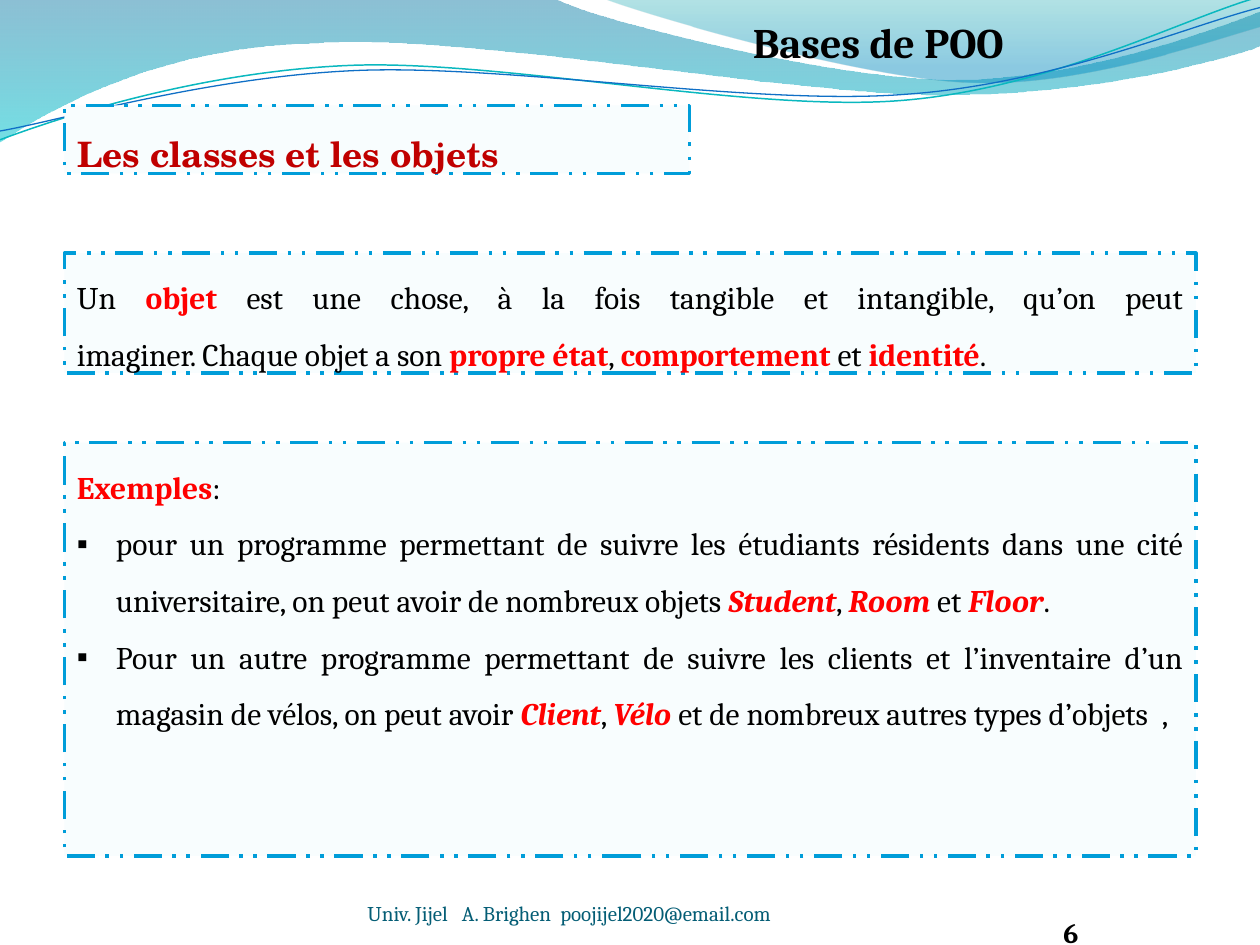
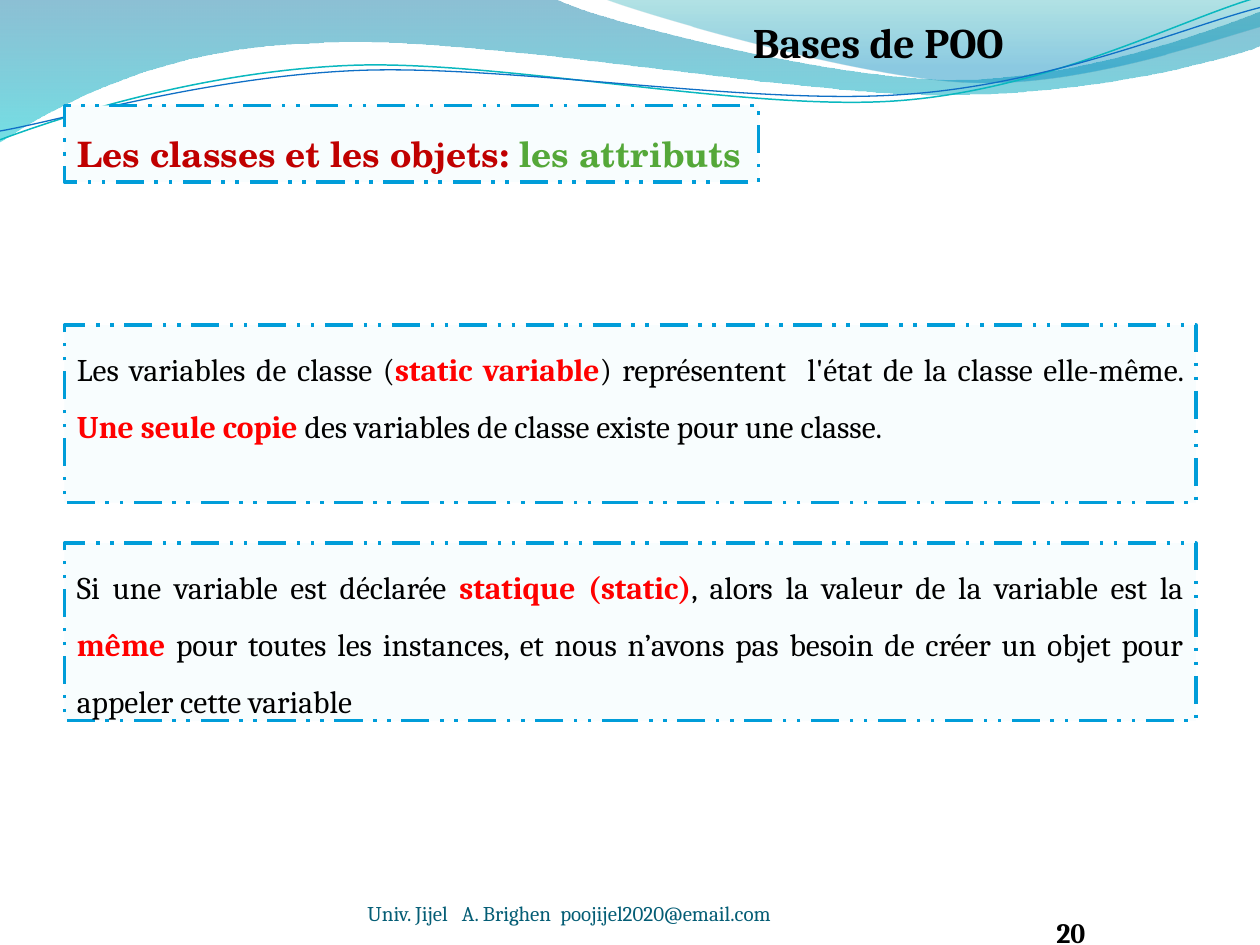
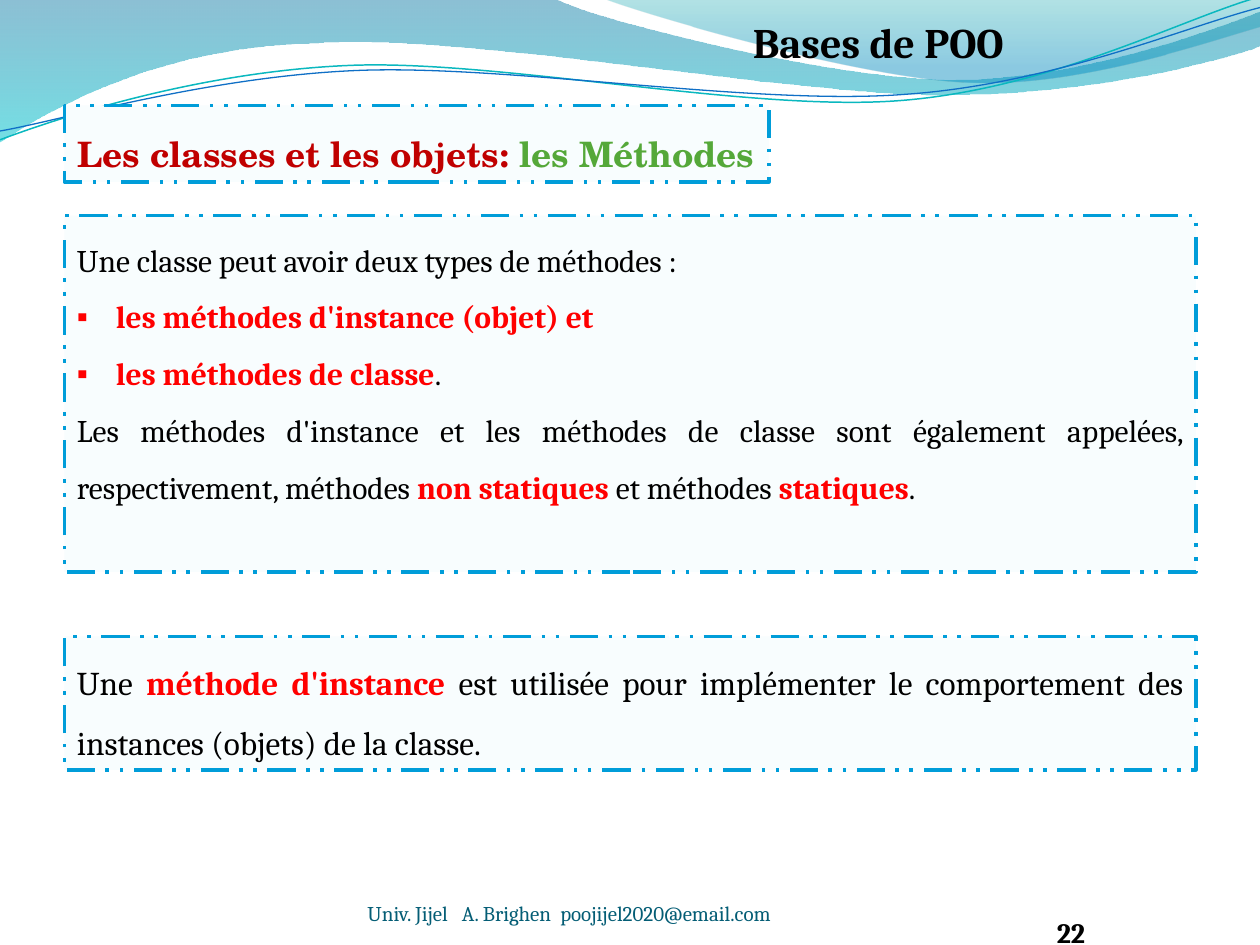
from lxml import etree
from pptx import Presentation
from pptx import util as u
from pptx.dml.color import RGBColor
from pptx.enum import dml, shapes, text
from pptx.oxml.ns import qn

WIDE, HIGH = u.Inches(10), u.Inches(7.5)
HUES = {
    "ink": "000000", "key": "FF0000", "head": "C00000", "topic": "55A839",
    "foot": "045D75", "pale": "F8FDFE", "edge": "009DD9",
    "deep": "0074A1", "cyan": "00C6CF", "teal": "00A1A9", "blue": "008BBF",
    "upper": "0AB8BF", "lower": "0F6FC6",
}
SERIF, SCHOOL = "Cambria", "TeX Gyre Schola"
LEFT, SPAN = 5.12, 89.8

BANDS = [
    ([(0, 0), (4.4, -0.01), (4.76, 0.17, 6.64, 0.63, 7.58, 0.63),
      (8.53, 0.63, 9.58, 0.26, 10, 0.09), (10.01, 0.36),
      (9.83, 0.44, 8.7, 0.76, 7.46, 0.75), (6.22, 0.75, 3.82, 0.28, 2.57, 0.34),
      (1.29, 0.36, 0.46, 0.83, -0.01, 1.13), (0, 0)],
     [(0, "deep", 45), (1, "cyan", 55)]),
    ([(4.79, -0.01), (5.09, 0.11, 6.82, 0.62, 7.69, 0.65),
      (8.56, 0.69, 9.61, 0.32, 10, 0.21), (10, 0), (4.79, -0.01)],
     [(0, "teal", 30), (0.8, "blue", 45)]),
]
WAVES = [
    ([(0, 1.11), (0.48, 0.93, 1.58, 0.57, 2.77, 0.52),
      (3.95, 0.47, 5.93, 0.89, 7.13, 0.8), (8.33, 0.71, 9.38, 0.15, 9.98, -0.02)],
     "upper", 0.85),
    ([(0, 1.04), (0.47, 0.96, 1.64, 0.61, 2.83, 0.56),
      (4.03, 0.51, 5.97, 0.84, 7.17, 0.75), (8.36, 0.67, 9.41, 0.21, 10, 0.06)],
     "lower", 0.75),
]

PAGES = [
    ("6", "Les classes et les objets", "", 49.6, 7.2, [
        (26.8, 12.67, 18, [
            "Un *objet* est une chose, à la fois tangible et intangible, qu’on peut\n"
            "imaginer. Chaque objet a son *propre état*, *comportement* et *identité*."]),
        (46.83, 43.73, 18, [
            "*Exemples*:",
            "▪pour un programme permettant de suivre les étudiants résidents dans une "
            "cité universitaire, on peut avoir de nombreux objets *_Student*, *_Room *et "
            "*_Floor*.",
            "▪Pour un autre programme permettant de suivre les clients et l’inventaire "
            "d’un magasin de vélos, on peut avoir *_Client*, *_Vélo *et de nombreux "
            "autres types d’objets  ,"]),
    ]),
    ("20", "Les classes et les objets: ", "les attributs", 55.1, 8.1, [
        (34.4, 18.8, 18, [
            "Les variables de classe (*static variable*) représentent  l'état de la "
            "classe elle-même. *Une seule copie *des variables de classe existe pour "
            "une classe."]),
        (57.47, 18.8, 18, [
            "Si une variable est déclarée *statique (static)*, alors la valeur de la "
            "variable est la *même* pour toutes les instances, et nous n’avons pas "
            "besoin de créer un objet pour appeler cette variable"]),
    ]),
    ("22", "Les classes et les objets: ", "les Méthodes", 55.9, 8.1, [
        (22.83, 37.7, 18, [
            "Une classe peut avoir deux types de méthodes :",
            "▪*les méthodes d'instance (objet) et*",
            "▪*les méthodes de classe*.",
            "Les méthodes d'instance et les méthodes de classe sont également appelées, "
            "respectivement, méthodes *non statiques* et méthodes *statiques*."]),
        (67.35, 14.13, 19, [
            "Une *méthode d'instance* est utilisée pour implémenter le comportement "
            "des instances (objets) de la classe."]),
    ]),
]


def shade(name):
    return RGBColor.from_string(HUES[name])


def apply(item, **values):
    for name, value in values.items():
        setattr(item, name, value)


def area(left, top, width, height):
    return [int(part * side / 100) for part, side in
            zip((left, top, width, height), (WIDE, HIGH) * 2)]


def bend(form, marks):
    edge = [min(mark[-2] for mark in marks), min(mark[-1] for mark in marks)]
    for leg, mark in zip(list(form.element.iter(qn("a:lnTo"))), marks[1:]):
        if len(mark) == 2:
            continue
        curve = etree.Element(qn("a:cubicBezTo"))
        for x, y in zip(mark[::2], mark[1::2]):
            etree.SubElement(curve, qn("a:pt"), x=str(round(1000 * (x - edge[0]))),
                             y=str(round(1000 * (y - edge[1]))))
        leg.getparent().replace(leg, curve)


def outline(slide, marks, close):
    ends = [(round(1000 * mark[-2]), round(1000 * mark[-1])) for mark in marks]
    pen = slide.shapes.build_freeform(*ends[0], scale=u.Inches(1) / 1000)
    pen.add_line_segments(ends[1:], close=close)
    form = pen.convert_to_shape()
    form.shadow.inherit = False
    bend(form, marks)
    return form


def add_band(slide, marks, stops):
    band = outline(slide, marks, True)
    band.line.fill.background()
    band.fill.gradient()
    band.fill.gradient_angle = 270
    for stop, (place, hue, alpha) in zip(band.fill.gradient_stops, stops):
        stop.position = place
        stop.color.rgb = shade(hue)
    tags = band.element.iter(qn("a:srgbClr"))
    for tag, (_, _, alpha) in zip(list(tags), stops):
        etree.SubElement(tag, qn("a:alpha"), val=str(alpha * 1000))
    return band


def add_wave(slide, marks, hue, width):
    wave = outline(slide, marks, False)
    wave.fill.background()
    wave.line.color.rgb = shade(hue)
    wave.line.width = u.Pt(width)
    return wave


def dress(deck, slide):
    forms = [add_band(slide, *band) for band in BANDS]
    forms += [add_wave(slide, *wave) for wave in WAVES]
    for number, form in enumerate(forms, 100):
        form.element.nvSpPr.cNvPr.set("id", str(number))
        deck.slide_master.shapes.element.append(form.element)


def add_run(para, words, hue, size, name=SERIF, **marks):
    run = para.add_run()
    run.text = words
    apply(run.font, name=name, size=u.Pt(size), **marks)
    run.font.color.rgb = shade(hue)


def write(para, line, size):
    apply(para, alignment=text.PP_ALIGN.JUSTIFY, line_spacing=1.5)
    if line.startswith("▪"):
        line = line[1:]
        props = para._p.get_or_add_pPr()
        props.set("marL", str(u.Inches(0.31)))
        props.set("indent", str(-u.Inches(0.31)))
        etree.SubElement(props, qn("a:buFont"), typeface="Arial")
        etree.SubElement(props, qn("a:buChar"), char="▪")
    for turn, part in enumerate(line.split("*")):
        key = turn % 2 == 1
        for row, words in enumerate(part.split("\n")):
            if row:
                para.add_line_break()
            if words:
                add_run(para, words.lstrip("_"), "key" if key else "ink", size,
                        bold=key, italic=words.startswith("_"))


def frame(box):
    box.fill.solid()
    box.fill.fore_color.rgb = shade("pale")
    box.line.color.rgb = shade("edge")
    apply(box.line, width=u.Pt(2), dash_style=dml.MSO_LINE.DASH_DOT_DOT)
    apply(box.text_frame, word_wrap=True, auto_size=text.MSO_AUTO_SIZE.NONE,
          vertical_anchor=text.MSO_ANCHOR.TOP)


def add_title(slide, head, topic, width, height):
    title = slide.shapes.title
    spot = area(LEFT, 11.15, width, height)
    apply(title, **dict(zip(("left", "top", "width", "height"), spot)))
    frame(title)
    para = title.text_frame.paragraphs[0]
    apply(para, alignment=text.PP_ALIGN.JUSTIFY, line_spacing=1.5)
    add_run(para, head, "head", 20, SCHOOL, bold=True)
    if topic:
        add_run(para, topic, "topic", 20, SCHOOL, bold=True)


def add_panel(slide, top, height, size, lines):
    box = slide.shapes.add_shape(shapes.MSO_SHAPE.RECTANGLE,
                                 *area(LEFT, top, SPAN, height))
    box.shadow.inherit = False
    frame(box)
    body = box.text_frame
    for row, line in enumerate(lines):
        write(body.add_paragraph() if row else body.paragraphs[0], line, size)


def add_label(slide, spot, words, hue, size, align, bold=True, low=True, tabs=()):
    body = slide.shapes.add_textbox(*area(*spot)).text_frame
    body.word_wrap = True
    if low:
        apply(body, margin_left=0, margin_top=0, margin_right=0, margin_bottom=0,
              vertical_anchor=text.MSO_ANCHOR.BOTTOM)
    para = body.paragraphs[0]
    para.alignment = align
    if tabs:
        stops = etree.SubElement(para._p.get_or_add_pPr(), qn("a:tabLst"))
        for tab in tabs:
            etree.SubElement(stops, qn("a:tab"), pos=str(u.Inches(tab)), algn="l")
    if not low:
        para.line_spacing = 0.9
    add_run(para, words, hue, size, bold=bold)


def add_marks(slide, number):
    mid, left = text.PP_ALIGN.CENTER, text.PP_ALIGN.LEFT
    add_label(slide, (50.8, 1.73, 37.8, 6.13), "Bases de POO", "ink", 24, mid, low=False)
    add_label(slide, (29.17, 92.67, 36.7, 5.33),
              "Univ. Jijel\tA. Brighen\tpoojijel2020@email.com", "foot", 12, left,
              bold=False, tabs=(0.75, 1.53))
    add_label(slide, (73.33, 95.07, 23.33, 5.33), number, "ink", 16, mid)


def main():
    deck = Presentation()
    apply(deck, slide_width=WIDE, slide_height=HIGH)
    for turn, (number, head, topic, width, height, panels) in enumerate(PAGES):
        slide = deck.slides.add_slide(deck.slide_layouts[5])
        if turn == 0:
            dress(deck, slide)
        add_title(slide, head, topic, width, height)
        add_marks(slide, number)
        for panel in panels:
            add_panel(slide, *panel)
    deck.save("out.pptx")


if __name__ == "__main__":
    main()
